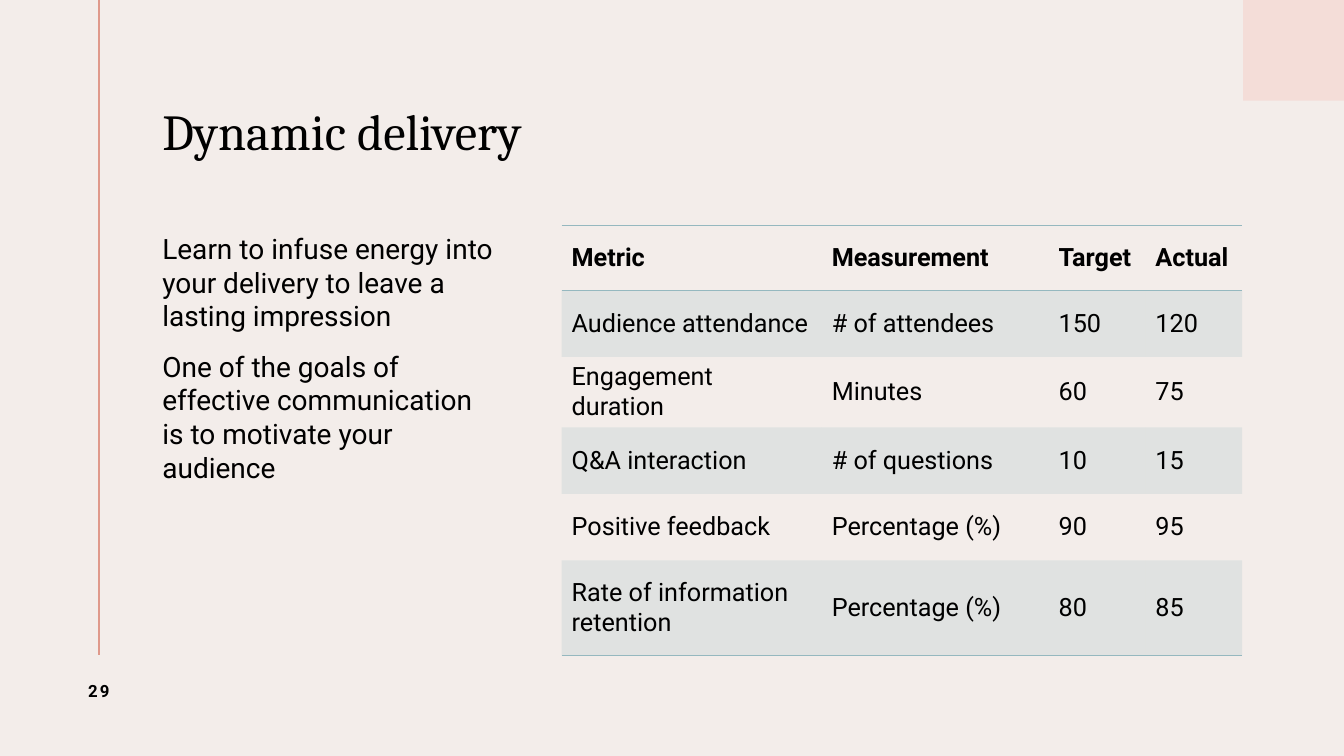
from dataclasses import dataclass

from lxml import etree
from pptx import Presentation
from pptx import util as u
from pptx.dml.color import RGBColor
from pptx.enum import shapes, text
from pptx.oxml import ns

PX = 9144  # EMU in one px, at 100 px to the inch


def px(length):
    return u.Emu(length * PX)


@dataclass(frozen=True)
class Theme:
    background: str = "F3EDEA"
    ink: str = "000000"
    blush: str = "F4DDD8"
    rose: str = "DF998B"
    teal: str = "95B8BF"
    band_alpha: int = 20
    heading_font: str = "Cambria"
    body_font: str = "Roboto"
    title_size: int = 36
    body_size: int = 20
    table_size: int = 18
    number_size: int = 12


class SlideBuilder:
    def __init__(self, presentation, theme):
        self.theme = theme
        self.slide = presentation.slides.add_slide(presentation.slide_layouts[6])
        self.paint(self.slide.background.fill, theme.background)

    def paint(self, fill, color):
        fill.solid()
        fill.fore_color.rgb = RGBColor.from_string(color)

    def rectangle(self, left, top, width, height, color):
        shape = self.slide.shapes.add_shape(
            shapes.MSO_SHAPE.RECTANGLE, px(left), px(top), px(width), px(height))
        shape.shadow.inherit = False
        self.paint(shape.fill, color)
        shape.line.fill.background()

    def line(self, x1, y1, x2, y2, color, weight):
        connector = self.slide.shapes.add_connector(
            shapes.MSO_CONNECTOR.STRAIGHT, px(x1), px(y1), px(x2), px(y2))
        connector.line.color.rgb = RGBColor.from_string(color)
        connector.line.width = u.Pt(weight)
        etree.SubElement(connector._element.spPr, ns.qn("a:effectLst"))

    def run(self, paragraph, words, size, font=None, bold=False, tracking=0):
        run = paragraph.add_run()
        run.text = words
        run.font.size = u.Pt(size)
        run.font.name = font or self.theme.body_font
        run.font.bold = bold
        run.font.color.rgb = RGBColor.from_string(self.theme.ink)
        if tracking:
            run._r.get_or_add_rPr().set("spc", str(tracking))

    def text_box(self, left, top, width, height, lines, size, inset=0,
                 anchor=text.MSO_ANCHOR.TOP, align=text.PP_ALIGN.LEFT,
                 spacing=None, after=0, **style):
        box = self.slide.shapes.add_textbox(px(left), px(top), px(width), px(height))
        frame = box.text_frame
        frame.word_wrap = True
        frame.vertical_anchor = anchor
        frame.margin_left = px(inset)
        for index, words in enumerate(lines):
            paragraph = frame.add_paragraph() if index else frame.paragraphs[0]
            paragraph.alignment = align
            paragraph.line_spacing = spacing
            paragraph.space_after = u.Pt(after)
            self.run(paragraph, words, size, **style)

    def cell_borders(self, cell, ruled_sides):
        properties = cell._tc.get_or_add_tcPr()
        for side in ("L", "R", "T", "B"):
            border = etree.SubElement(properties, ns.qn(f"a:ln{side}"))
            if side in ruled_sides:
                border.set("w", str(u.Pt(1)))
                solid = etree.SubElement(border, ns.qn("a:solidFill"))
                etree.SubElement(solid, ns.qn("a:srgbClr"), val=self.theme.teal)
            else:
                etree.SubElement(border, ns.qn("a:noFill"))

    def cell_fill(self, cell, banded):
        if not banded:
            cell.fill.background()
            return
        self.paint(cell.fill, self.theme.teal)
        color = next(cell._tc.tcPr.find(ns.qn("a:solidFill")).iterchildren())
        etree.SubElement(color, ns.qn("a:alpha"), val=str(self.theme.band_alpha * 1000))

    def table(self, left, top, widths, heights, rows):
        table = self.slide.shapes.add_table(
            len(heights), len(widths), px(left), px(top),
            px(sum(widths)), px(sum(heights))).table
        table.horz_banding = False
        for column, width in zip(table.columns, widths):
            column.width = px(width)
        for row, height in zip(table.rows, heights):
            row.height = px(height)
        ruled_edges = (0, 1, len(rows))  # above and below the header, and at the foot
        for r, values in enumerate(rows):
            ruled_sides = [side for side, edge in (("T", r), ("B", r + 1))
                           if edge in ruled_edges]
            for c, value in enumerate(values):
                cell = table.cell(r, c)
                cell.vertical_anchor = text.MSO_ANCHOR.MIDDLE
                self.run(cell.text_frame.paragraphs[0], value,
                         self.theme.table_size, bold=r == 0)
                self.cell_borders(cell, ruled_sides)
                self.cell_fill(cell, banded=r % 2 == 1)


METRICS = [
    ("Metric", "Measurement", "Target", "Actual"),
    ("Audience attendance", "# of attendees", "150", "120"),
    ("Engagement duration", "Minutes", "60", "75"),
    ("Q&A interaction", "# of questions", "10", "15"),
    ("Positive feedback", "Percentage (%)", "90", "95"),
    ("Rate of information retention", "Percentage (%)", "80", "85"),
]
MESSAGES = [
    "Learn to infuse energy into your delivery to leave a lasting impression",
    "One of the goals of effective communication is to motivate your audience",
]


def main():
    presentation = Presentation()
    presentation.slide_width, presentation.slide_height = px(1333), px(750)
    theme = Theme()
    builder = SlideBuilder(presentation, theme)

    # Corner block and margin line
    builder.rectangle(1233, 0, 100, 100, theme.blush)
    builder.line(98, 0, 98, 650, theme.rose, 1.5)

    # Title and message
    builder.text_box(161, 55, 1073, 156, ["Dynamic delivery"], theme.title_size,
                     anchor=text.MSO_ANCHOR.MIDDLE, spacing=0.9,
                     font=theme.heading_font)
    builder.text_box(161, 225, 338, 423, MESSAGES, theme.body_size, after=12)

    # Metrics table
    builder.table(557, 224, (258, 225, 96, 96), (64, 66, 70, 66, 66, 94), METRICS)

    # Page number
    builder.text_box(45, 650, 106, 71, ["29"], theme.number_size, inset=10,
                     anchor=text.MSO_ANCHOR.MIDDLE, align=text.PP_ALIGN.CENTER,
                     bold=True, tracking=150)

    presentation.save("out.pptx")


if __name__ == "__main__":
    main()
